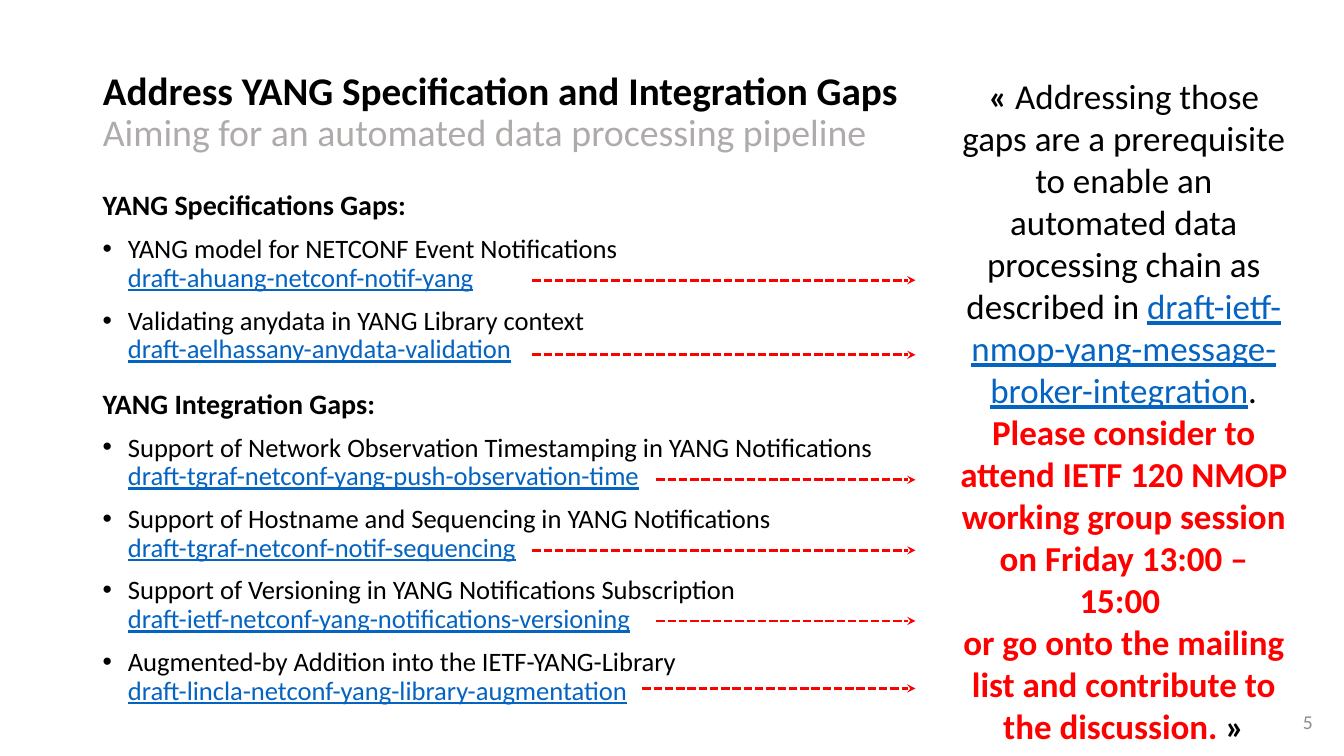
from lxml.etree import SubElement
from pptx import Presentation
from pptx.dml.color import RGBColor
from pptx.enum.dml import MSO_LINE
from pptx.enum.shapes import MSO_CONNECTOR
from pptx.enum.text import MSO_ANCHOR, MSO_AUTO_SIZE as AutoSize, PP_ALIGN
from pptx.oxml.ns import qn
from pptx.util import Inches, Pt

BLACK = RGBColor(0x00, 0x00, 0x00)
SUBTITLE_GRAY = RGBColor(0xAF, 0xAB, 0xAB)
NUMBER_GRAY = RGBColor(0x8C, 0x8C, 0x8C)
LINK_BLUE = RGBColor(0x05, 0x63, 0xC1)
RED = RGBColor(0xFF, 0x00, 0x00)

FONT = "Calibri"
BODY_LEFT = 0.92
INDENT = 0.25
ARROW_END = 9.08

SPECIFICATION_GAPS = [
    ("YANG model for NETCONF Event Notifications", "draft-ahuang-netconf-notif-yang"),
    ("Validating anydata in YANG Library context", "draft-aelhassany-anydata-validation"),
]
INTEGRATION_GAPS = [
    ("Support of Network Observation Timestamping in YANG Notifications",
     "draft-tgraf-netconf-yang-push-observation-time"),
    ("Support of Hostname and Sequencing in YANG Notifications",
     "draft-tgraf-netconf-notif-sequencing"),
    ("Support of Versioning in YANG Notifications Subscription",
     "draft-ietf-netconf-yang-notifications-versioning"),
    ("Augmented-by Addition into the IETF-YANG-Library",
     "draft-lincla-netconf-yang-library-augmentation"),
]
ARROWS = [(5.28, 2.78), (5.28, 3.52), (6.51, 4.76), (5.28, 5.46), (6.51, 6.16), (6.37, 6.83)]


def add_text(paragraph, text, size, color=BLACK, bold=False, underline=False):
    run = paragraph.add_run()
    run.text = text
    font = run.font
    font.name, font.size, font.bold, font.underline = FONT, Pt(size), bold, underline
    font.color.rgb = color


def add_box(slide, box, auto_size=AutoSize.NONE):
    frame = slide.shapes.add_textbox(*map(Inches, box)).text_frame
    frame.word_wrap = True
    frame.auto_size = auto_size
    return frame


def format_paragraph(paragraph, space_before, bulleted=False):
    paragraph.line_spacing = 0.9
    paragraph.space_before = Pt(space_before)
    if bulleted:
        properties = paragraph._p.get_or_add_pPr()
        properties.set("marL", str(Inches(INDENT)))
        properties.set("indent", str(-Inches(INDENT)))
        SubElement(properties, qn("a:buFont")).set("typeface", "Arial")
        SubElement(properties, qn("a:buChar")).set("char", "•")


def fill_title(slide, box):
    title = slide.shapes.title
    title.left, title.top, title.width, title.height = map(Inches, box)
    frame = title.text_frame
    frame.auto_size = AutoSize.NONE
    frame.vertical_anchor = MSO_ANCHOR.MIDDLE
    paragraph = frame.paragraphs[0]
    paragraph.alignment = PP_ALIGN.LEFT
    format_paragraph(paragraph, 0)
    add_text(paragraph, "Address YANG Specification and Integration Gaps", 28, bold=True)
    paragraph.add_line_break()
    add_text(paragraph, "Aiming for an automated data processing pipeline", 27, SUBTITLE_GRAY)


def add_gap_list(slide, box):
    frame = add_box(slide, box)
    heading = frame.paragraphs[0]
    sections = [("YANG Specifications Gaps:", 10, SPECIFICATION_GAPS),
                ("YANG Integration Gaps:", 18, INTEGRATION_GAPS)]
    for name, space_before, gaps in sections:
        heading = heading or frame.add_paragraph()
        format_paragraph(heading, space_before)
        add_text(heading, name, 20, bold=True)
        heading = None
        for topic, draft in gaps:
            paragraph = frame.add_paragraph()
            format_paragraph(paragraph, 10, bulleted=True)
            add_text(paragraph, topic, 19)
            paragraph.add_line_break()
            add_text(paragraph, draft, 19, LINK_BLUE, underline=True)


def add_arrows(slide):
    for start, height in ARROWS:
        arrow = slide.shapes.add_connector(
            MSO_CONNECTOR.STRAIGHT, *map(Inches, (start, height, ARROW_END, height)))
        arrow.line.color.rgb = RED
        arrow.line.width = Pt(2)
        arrow.line.dash_style = MSO_LINE.SQUARE_DOT
        SubElement(arrow.line._get_or_add_ln(), qn("a:tailEnd")).set("type", "stealth")
        SubElement(arrow._element.spPr, qn("a:effectLst"))


def add_appeal(slide, box):
    frame = add_box(slide, box, AutoSize.SHAPE_TO_FIT_TEXT)
    reason, invitation = frame.paragraphs[0], frame.add_paragraph()
    reason.alignment = invitation.alignment = PP_ALIGN.CENTER
    add_text(reason, "« ", 25, bold=True)
    add_text(reason, "Addressing those gaps are a prerequisite to enable an automated "
             "data processing chain as described in ", 25)
    add_text(reason, "draft-ietf-nmop-yang-message-broker-integration", 25, LINK_BLUE,
             underline=True)
    add_text(reason, ". ", 25)
    add_text(reason, "Please consider to attend IETF 120 NMOP working group session "
             "on Friday 13:00 – 15:00 ", 25, RED, bold=True)
    add_text(invitation, "or go onto the mailing list and contribute to the discussion. ",
             25, RED, bold=True)
    add_text(invitation, "»", 25, bold=True)


def add_slide_number(slide, box):
    frame = add_box(slide, box)
    frame.vertical_anchor = MSO_ANCHOR.MIDDLE
    paragraph = frame.paragraphs[0]
    paragraph.alignment = PP_ALIGN.RIGHT
    add_text(paragraph, "5", 14, NUMBER_GRAY)


def main():
    presentation = Presentation()
    presentation.slide_width, presentation.slide_height = Inches(13.33), Inches(7.5)
    slide = presentation.slides.add_slide(presentation.slide_layouts[5])
    fill_title(slide, (BODY_LEFT, 0.4, 11.5, 1.45))
    add_gap_list(slide, (BODY_LEFT, 1.85, 9.01, 4.91))
    add_slide_number(slide, (12.67, 6.96, 0.45, 0.4))
    add_arrows(slide)
    add_appeal(slide, (9.39, 0.69, 3.51, 6.41))
    presentation.save("out.pptx")


if __name__ == "__main__":
    main()
